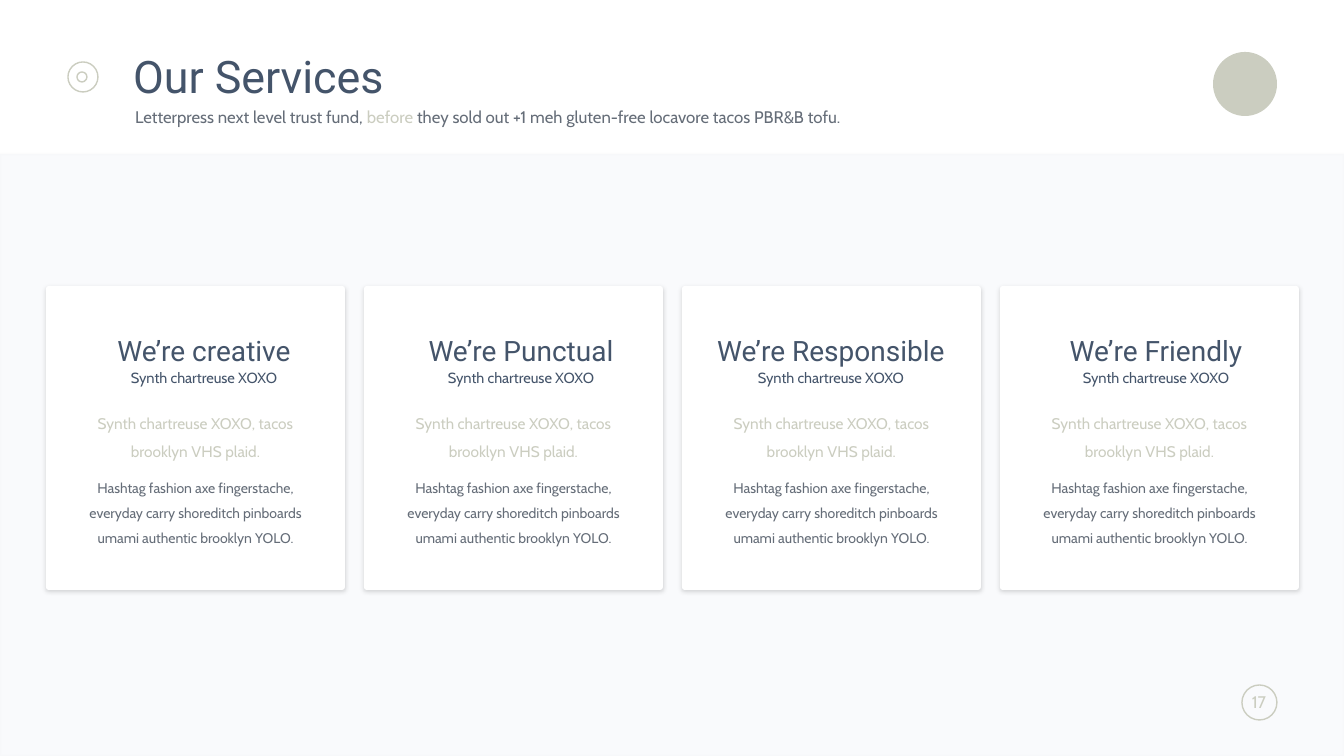
from dataclasses import dataclass

from lxml import etree
from pptx import Presentation
from pptx import util as u
from pptx.dml.color import RGBColor
from pptx.enum import shapes, text
from pptx.oxml import parse_xml
from pptx.oxml.ns import nsdecls, qn

SCALE = 12192000 / 1344


@dataclass(frozen=True)
class Theme:
    heading_font: str = "Roboto"
    body_font: str = "Cabin"
    navy: str = "44546A"
    grey: str = "656D78"
    sand: str = "CBCDC0"
    white: str = "FFFFFF"
    band: str = "7B8DB3"
    band_edge: str = "EBEBEB"
    title_size: float = 32
    card_title_size: float = 20
    small_size: float = 12
    lead_size: float = 11
    card_subtitle_size: float = 10.5
    detail_size: float = 10


THEME = Theme()
CARD_TITLES = [
    ("We’re creative", 9),
    ("We’re Punctual", 8),
    ("We’re Responsible", 0),
    ("We’re Friendly", 7),
]
CARD_SUBTITLE = "Synth chartreuse XOXO"
CARD_LEAD = "Synth chartreuse XOXO, tacos brooklyn VHS plaid."
CARD_DETAIL = (
    "Hashtag fashion axe fingerstache, everyday carry shoreditch "
    "pinboards umami authentic brooklyn YOLO."
)
CARD_LEFT, CARD_TOP, CARD_PITCH = 46, 286, 318
CARD_WIDTH, CARD_HEIGHT = 299, 304


def px(value):
    return u.Emu(round(value * SCALE))


def place(shape, box):
    shape.left, shape.top, shape.width, shape.height = map(px, box)


def set_alpha(color_format, percent):
    color = color_format._xFill.find(qn("a:srgbClr"))
    etree.SubElement(color, qn("a:alpha")).set("val", str(percent * 1000))


def add_panel(container, kind, box, fill=None, line=None, line_width=1):
    shape = container.add_shape(kind, *map(px, box))
    shape.shadow.inherit = False
    if fill:
        shape.fill.solid()
        shape.fill.fore_color.rgb = RGBColor.from_string(fill)
    else:
        shape.fill.background()
    if line:
        shape.line.color.rgb = RGBColor.from_string(line)
        shape.line.width = u.Pt(line_width)
    else:
        shape.line.fill.background()
    return shape


def add_soft_shadow(shape):
    effects = shape._element.spPr.find(qn("a:effectLst"))
    effects.append(parse_xml(
        f'<a:outerShdw {nsdecls("a")} blurRad="38100" dist="12700" dir="5400000" '
        'algn="t" rotWithShape="0"><a:srgbClr val="000000">'
        '<a:alpha val="15000"/></a:srgbClr></a:outerShdw>'
    ))


def add_run(paragraph, words, size, color, font=THEME.body_font):
    run = paragraph.add_run()
    run.text = words
    run.font.name = font
    run.font.size = u.Pt(size)
    run.font.bold = False
    run.font.color.rgb = RGBColor.from_string(color)


def format_paragraph(paragraph, alignment, spacing, before=0):
    paragraph.alignment = alignment
    paragraph.line_spacing = spacing
    paragraph.space_before = u.Pt(before)


def add_text_box(container, box, wrap=True, inset=True):
    frame = container.add_textbox(*map(px, box)).text_frame
    frame.word_wrap = wrap
    if not inset:
        frame.margin_left = frame.margin_right = 0
        frame.margin_top = frame.margin_bottom = 0
    return frame


def add_line(container, box, words, size, color, font=THEME.body_font, spacing=0.8):
    paragraph = add_text_box(container, box).paragraphs[0]
    format_paragraph(paragraph, text.PP_ALIGN.CENTER, spacing)
    add_run(paragraph, words, size, color, font)


def fill_placeholder(placeholder, box, runs, size, font):
    place(placeholder, box)
    frame = placeholder.text_frame
    frame.auto_size = text.MSO_AUTO_SIZE.NONE
    frame.vertical_anchor = text.MSO_ANCHOR.MIDDLE
    paragraph = frame.paragraphs[0]
    format_paragraph(paragraph, text.PP_ALIGN.LEFT, 0.9)
    for words, color in runs:
        add_run(paragraph, words, size, color, font)


def add_header(slide):
    oval = shapes.MSO_SHAPE.OVAL
    add_panel(slide.shapes, oval, (1213, 52, 64, 64), fill=THEME.sand)
    for left, top, size in ((68, 62, 30), (77, 72, 10)):
        add_panel(slide.shapes, oval, (left, top, size, size), line=THEME.sand)
    title, subtitle = slide.placeholders
    fill_placeholder(title, (123, 52, 1015, 54), [("Our Services", THEME.navy)],
                     THEME.title_size, THEME.heading_font)
    fill_placeholder(subtitle, (125, 104, 1013, 29), [
        ("Letterpress next level trust fund, ", THEME.grey),
        ("before", THEME.sand),
        (" they sold out +1 meh gluten-free locavore tacos PBR&B tofu.", THEME.grey),
    ], THEME.small_size, THEME.body_font)


def add_band(slide):
    band = add_panel(slide.shapes, shapes.MSO_SHAPE.RECTANGLE, (0, 154, 1344, 602),
                     THEME.band, THEME.band_edge, 2)
    for color_format, percent in ((band.fill.fore_color, 4), (band.line.color, 10)):
        set_alpha(color_format, percent)


def add_page_number(slide, number):
    ring = add_panel(slide.shapes, shapes.MSO_SHAPE.ROUNDED_RECTANGLE,
                     (1242, 685, 35, 35), line=THEME.sand)
    ring.adjustments[0] = 0.5
    paragraph = add_text_box(slide.shapes, (1240, 687, 38, 30), wrap=False).paragraphs[0]
    format_paragraph(paragraph, text.PP_ALIGN.CENTER, 1.0)
    add_run(paragraph, number, THEME.small_size, THEME.sand)


def add_card(slide, index, title, heading_shift):
    group = slide.shapes.add_group_shape().shapes
    left = CARD_LEFT + index * CARD_PITCH
    card = add_panel(group, shapes.MSO_SHAPE.ROUNDED_RECTANGLE,
                     (left, CARD_TOP, CARD_WIDTH, CARD_HEIGHT), fill=THEME.white)
    card.adjustments[0] = 0.01
    add_soft_shadow(card)

    frame = add_text_box(group, (left + 31, CARD_TOP + 119, 237, 168), inset=False)
    copy_lines = (
        (frame.paragraphs[0], CARD_LEAD, THEME.lead_size, THEME.sand),
        (frame.add_paragraph(), CARD_DETAIL, THEME.detail_size, THEME.grey),
    )
    for paragraph, words, size, color in copy_lines:
        format_paragraph(paragraph, text.PP_ALIGN.CENTER, 1.5, 7.5)
        add_run(paragraph, words, size, color)

    heading_left = left + 25 + heading_shift
    add_line(group, (heading_left, CARD_TOP + 49, 248, 37), title,
             THEME.card_title_size, THEME.navy, THEME.heading_font)
    add_line(group, (heading_left, CARD_TOP + 81, 248, 29), CARD_SUBTITLE,
             THEME.card_subtitle_size, THEME.navy)


def main():
    presentation = Presentation()
    presentation.slide_width, presentation.slide_height = px(1344), px(756)
    slide = presentation.slides.add_slide(presentation.slide_layouts[0])
    add_band(slide)
    add_header(slide)
    add_page_number(slide, "17")
    for index, (title, heading_shift) in enumerate(CARD_TITLES):
        add_card(slide, index, title, heading_shift)
    presentation.save("out.pptx")


if __name__ == "__main__":
    main()
